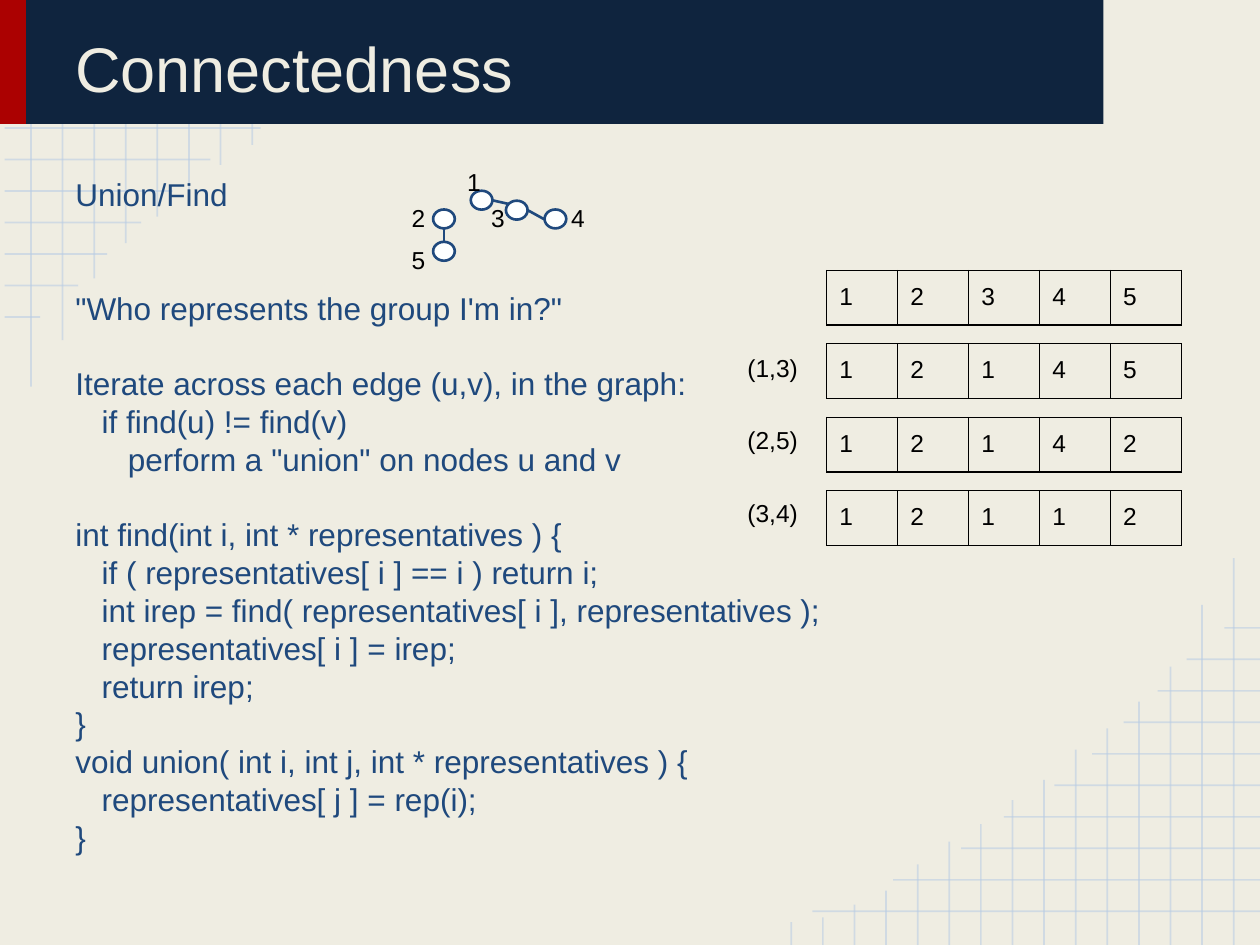
from dataclasses import dataclass
from lxml.etree import SubElement
from pptx import Presentation
from pptx.dml.color import RGBColor
from pptx.enum.shapes import MSO_CONNECTOR, MSO_SHAPE
from pptx.enum.text import MSO_ANCHOR
from pptx.oxml.ns import qn
from pptx.util import Pt


@dataclass(frozen=True)
class Theme:
    font: str = "Arial"
    background: str = "EFEDE2"
    banner: str = "0F243E"
    accent: str = "AB0101"
    grid: str = "B7CCE4"
    grid_opacity: int = 54
    body: str = "1F497D"
    node: str = "FDFFFF"
    label: str = "000000"
    title_size: float = 36
    body_size: float = 18
    label_size: float = 14
    body_line: float = 21.6
    inset: float = 7.2


class SlideBuilder:
    def __init__(self, slide, theme):
        self.slide = slide
        self.theme = theme
        fill = slide.background.fill
        fill.solid()
        fill.fore_color.rgb = RGBColor.from_string(theme.background)

    def set_font(self, paragraph, size, color):
        paragraph.font.name = self.theme.font
        paragraph.font.size = Pt(size)
        paragraph.font.color.rgb = RGBColor.from_string(color)

    def line(self, start, end, color, width, opacity=100):
        connector = self.slide.shapes.add_connector(
            MSO_CONNECTOR.STRAIGHT, *map(Pt, (*start, *end)))
        connector.line.color.rgb = RGBColor.from_string(color)
        connector.line.width = Pt(width)
        properties = connector._element.spPr
        SubElement(properties, qn("a:effectLst"))
        if opacity < 100:
            color_element = next(properties.iter(qn("a:srgbClr")))
            SubElement(color_element, qn("a:alpha"), val=str(opacity * 1000))

    def shape(self, kind, box, fill, outline=None):
        shape = self.slide.shapes.add_shape(kind, *map(Pt, box))
        shape.shadow.inherit = False
        shape.fill.solid()
        shape.fill.fore_color.rgb = RGBColor.from_string(fill)
        if outline:
            shape.line.color.rgb = RGBColor.from_string(outline)
            shape.line.width = Pt(1.5)
        else:
            shape.line.fill.background()

    def text(self, box, lines, size, color, anchor=MSO_ANCHOR.TOP, line_height=None):
        frame = self.slide.shapes.add_textbox(*map(Pt, box)).text_frame
        frame.word_wrap = True
        frame.vertical_anchor = anchor
        frame.margin_left = frame.margin_right = Pt(self.theme.inset)
        frame.margin_top = frame.margin_bottom = Pt(self.theme.inset)
        for index, (content, gap_lines) in enumerate(lines):
            paragraph = frame.paragraphs[0] if index == 0 else frame.add_paragraph()
            paragraph.text = content
            if line_height:
                paragraph.line_spacing = Pt(line_height)
            if gap_lines:
                paragraph.space_before = Pt(gap_lines * line_height)
            self.set_font(paragraph, size, color)

    def label(self, box, content):
        self.text(box, [(content, 0)], self.theme.label_size, self.theme.label)

    def border(self, cell):
        properties = cell._tc.get_or_add_tcPr()
        for index, side in enumerate(("lnL", "lnR", "lnT", "lnB")):
            edge = properties.makeelement(qn(f"a:{side}"), {"w": str(Pt(0.75))})
            fill = SubElement(edge, qn("a:solidFill"))
            SubElement(fill, qn("a:srgbClr"), val=self.theme.label)
            properties.insert(index, edge)

    def array(self, left, top, frame_size, column_width, row_height, values):
        graphic_frame = self.slide.shapes.add_table(
            1, len(values), *map(Pt, (left, top, frame_size, frame_size)))
        table = graphic_frame.table
        table.first_row = table.horz_banding = False
        table.rows[0].height = Pt(row_height)
        for column, value in enumerate(values):
            table.columns[column].width = Pt(column_width)
            cell = table.cell(0, column)
            cell.margin_left = cell.margin_right = Pt(self.theme.inset)
            cell.margin_top = cell.margin_bottom = Pt(self.theme.inset)
            cell.text = str(value)
            self.set_font(cell.text_frame.paragraphs[0],
                          self.theme.label_size, self.theme.label)
            cell.fill.background()
            self.border(cell)
        graphic_frame.width = graphic_frame.height = Pt(frame_size)


WIDTH, HEIGHT = 720, 540
ROW_ENDS = [258.5, 212.4, 173.5, 149, 120.2, 98.6, 80.6, 61.2, 44.6, 23]
COLUMN_ENDS = [221, 194.4, 159.1, 139, 123.8, 111.6, 94.3, 82.8,
               69.1, 59, 46.1, 31, 23, 15.8, 13]
BODY_LINES = [
    ("Union/Find", 0),
    ("\"Who represents the group I'm in?\"", 2),
    ("Iterate across each edge (u,v), in the graph:", 1),
    ("   if find(u) != find(v)", 0),
    ("      perform a \"union\" on nodes u and v", 0),
    ("int find(int i, int * representatives ) {", 1),
    ("   if ( representatives[ i ] == i ) return i;", 0),
    ("   int irep = find( representatives[ i ], representatives );", 0),
    ("   representatives[ i ] = irep;", 0),
    ("   return irep;", 0),
    ("}", 0),
    ("void union( int i, int j, int * representatives ) {", 0),
    ("   representatives[ j ] = rep(i);", 0),
    ("}", 0),
]
NODES = [(269, 109), (247.5, 119.7), (289.1, 114.7), (311.2, 119.7), (247.5, 138.2)]
NODE_LABELS = [(259.9, 88.2), (228.2, 108.8), (273.6, 108.8), (319.3, 108.8), (228.2, 132.8)]
EDGES = [
    ((253.7, 130.3), (253.7, 138.2)),
    ((281.5, 114.5), (290.9, 116.6)),
    ((301.7, 120.2), (311, 125.3)),
]
ARRAY_STEPS = [
    (None, [1, 2, 3, 4, 5]),
    ("(1,3)", [1, 2, 1, 4, 5]),
    ("(2,5)", [1, 2, 1, 4, 2]),
    ("(3,4)", [1, 2, 1, 1, 2]),
]


def draw_corner_grids(builder):
    theme = builder.theme
    rows = [((2.7, 19.2 + 18 * i), (end, 19.2 + 18 * i)) for i, end in enumerate(ROW_ENDS)]
    columns = [((17.7 + 18.06 * i, end), (17.7 + 18.06 * i, 0))
               for i, end in enumerate(COLUMN_ENDS)]
    for start, end in rows + columns:
        builder.line(start, end, theme.grid, 1, theme.grid_opacity)
        opposite = [(WIDTH + 2.7 - x, HEIGHT - y) for x, y in (start, end)]
        builder.line(*opposite, theme.grid, 1, theme.grid_opacity)


def draw_graph(builder):
    theme = builder.theme
    for start, end in EDGES:
        builder.line(start, end, theme.body, 1.5)
    for number, (node, label) in enumerate(zip(NODES, NODE_LABELS), 1):
        builder.shape(MSO_SHAPE.OVAL, (*node, 12.4, 10.8), theme.node, theme.body)
        builder.label((*label, 26.6, 23), str(number))


def draw_arrays(builder):
    for step, (edge, values) in enumerate(ARRAY_STEPS):
        builder.array(472.5, 154.5 + 42 * step, 236.2, 40.55, 8, values)
        if edge:
            builder.label((420, 153 + 41.4 * step, 63.4, 36.7), edge)


def main():
    presentation = Presentation()
    presentation.slide_width, presentation.slide_height = Pt(WIDTH), Pt(HEIGHT)
    slide = presentation.slides.add_slide(presentation.slide_layouts[6])
    theme = Theme()
    builder = SlideBuilder(slide, theme)
    draw_corner_grids(builder)
    builder.shape(MSO_SHAPE.RECTANGLE, (0, -1, 15, 71.8), theme.accent)
    builder.shape(MSO_SHAPE.RECTANGLE, (15, -1, 615.5, 71.8), theme.banner)
    builder.text((36, 10.8, 576, 56.4), [("Connectedness", 0)],
                 theme.title_size, theme.background, MSO_ANCHOR.BOTTOM)
    builder.text((36, 92.9, 648, 399), BODY_LINES, theme.body_size, theme.body,
                 line_height=theme.body_line)
    draw_graph(builder)
    draw_arrays(builder)
    presentation.save("out.pptx")


if __name__ == "__main__":
    main()
